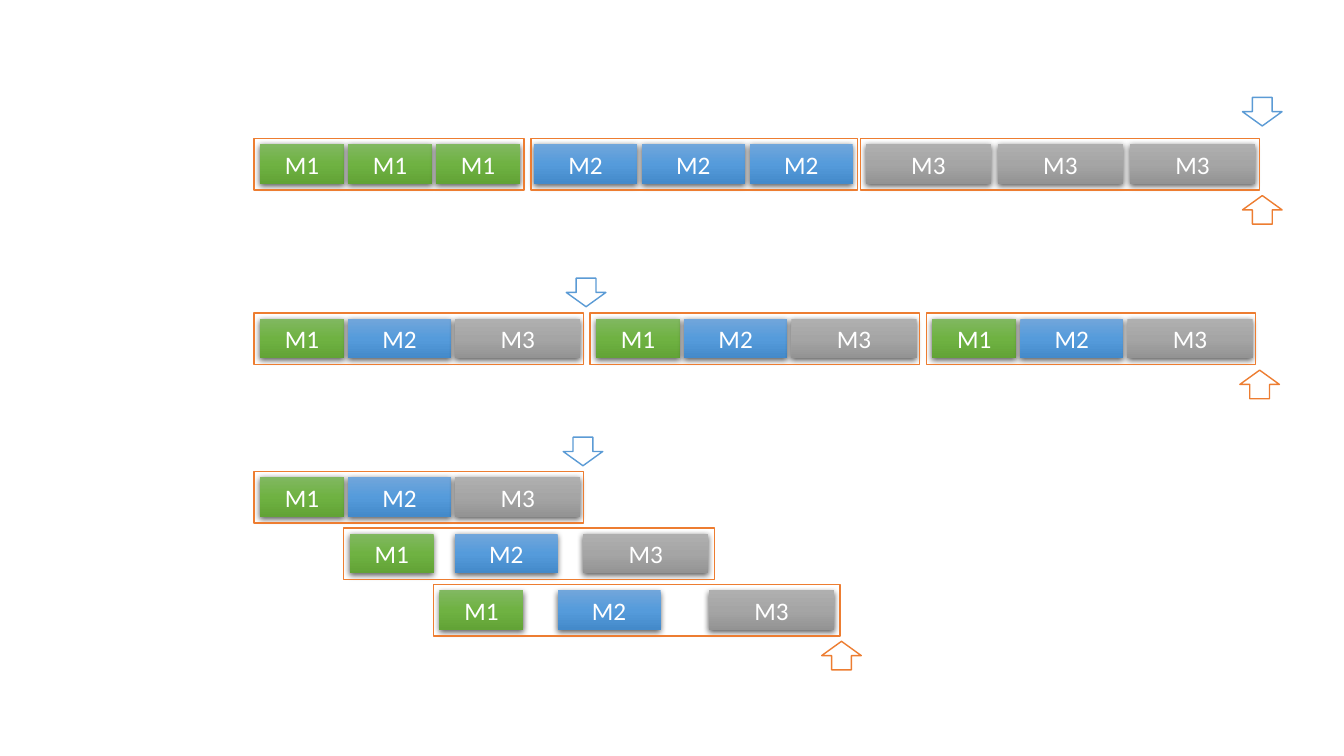
from copy import deepcopy
from dataclasses import dataclass

from lxml.etree import SubElement
from pptx import Presentation
from pptx.dml.color import RGBColor
from pptx.enum.shapes import MSO_SHAPE
from pptx.enum.text import MSO_ANCHOR, PP_ALIGN
from pptx.oxml.ns import qn
from pptx.shapes.autoshape import Shape
from pptx.slide import Slide
from pptx.util import Pt


@dataclass(frozen=True)
class Theme:
    font: str = "Calibri"
    label_size: float = 18
    line_width: float = 1
    text: str = "FFFFFF"
    arrow_fill: str = "FFFFFF"
    shadow: str = "000000"
    first_done: str = "5B9BD5"
    batch: str = "ED7D31"
    green: tuple[str, ...] = ("81B861", "6FB242", "62A336")
    blue: tuple[str, ...] = ("71A6DB", "559BDB", "448ACA")
    gray: tuple[str, ...] = ("AFAFAF", "A5A5A5", "939393")


THEME = Theme()
BLOCK_HEIGHT = 28.3
BATCH_HEIGHT = 36.8
BLOCK_DROP = 4.1
ARROW_WIDTH = 28.3
ARROW_HEIGHT = 20.4


@dataclass(frozen=True)
class Stage:
    label: str
    width: float
    gradient: tuple[str, ...]


@dataclass(frozen=True)
class Batch:
    left: float
    top: float
    width: float
    stages: tuple[Stage, ...]
    gaps: tuple[float, ...] = (2.9, 2.9)
    inset: float = 4.3


@dataclass(frozen=True)
class Arrow:
    left: float
    top: float
    color: str
    rotation: float = 0


M1 = Stage("M1", 60, THEME.green)
M2 = Stage("M2", 73.6, THEME.blue)
M3 = Stage("M3", 89.5, THEME.gray)
SEQUENCE = (M1, M2, M3)

START = 181.4
SEQUENCE_WIDTH = 235.3

BY_STAGE = (
    Batch(START, 98.9, 193, (M1,) * 3),
    Batch(379.2, 98.9, 233.2, (M2,) * 3, (3.4, 3.4), 2.3),
    Batch(614.8, 98.9, 285.1, (M3,) * 3, (4.8, 4.8), 3.6),
)
BY_PRODUCT = tuple(
    Batch(START + index * 240.1, 223.7, SEQUENCE_WIDTH, SEQUENCE) for index in range(3)
)
OVERLAPPED = tuple(
    Batch(START + index * 64.1, 336.8 + index * 40.4, width, SEQUENCE, gaps)
    for index, (width, gaps) in enumerate((
        (SEQUENCE_WIDTH, (2.9, 2.9)),
        (265, (15, 18.2)),
        (290.3, (24.4, 34.4)),
    ))
)

ARROWS = (
    Arrow(887.5, 69.6, THEME.first_done),
    Arrow(404.5, 198.7, THEME.first_done),
    Arrow(402.3, 312.3, THEME.first_done),
    Arrow(887.5, 139.7, THEME.batch, 180),
    Arrow(885.6, 264.4, THEME.batch, 180),
    Arrow(586.9, 458.1, THEME.batch, 180),
)


def add_plain_shape(page: Slide, kind: MSO_SHAPE, left: float, top: float,
                    width: float, height: float) -> Shape:
    shape = page.shapes.add_shape(kind, Pt(left), Pt(top), Pt(width), Pt(height))
    shape.shadow.inherit = False
    return shape


def set_outline(shape: Shape, color: str) -> None:
    shape.line.color.rgb = RGBColor.from_string(color)
    shape.line.width = Pt(THEME.line_width)


def set_gradient(shape: Shape, colors: tuple[str, ...]) -> None:
    shape.fill.gradient()
    shape.fill.gradient_angle = 270
    stops = shape.element.spPr.find(qn("a:gradFill")).find(qn("a:gsLst"))
    stops.append(deepcopy(stops[-1]))
    for index, stop in enumerate(shape.fill.gradient_stops):
        stop.position = index / (len(colors) - 1)
        stop.color.rgb = RGBColor.from_string(colors[index])


def set_shadow(shape: Shape) -> None:
    effects = shape.element.spPr.find(qn("a:effectLst"))
    shadow = SubElement(effects, qn("a:outerShdw"), blurRad=str(Pt(4.5)),
                        dist=str(Pt(1.5)), dir="5400000", algn="ctr", rotWithShape="0")
    color = SubElement(shadow, qn("a:srgbClr"), val=THEME.shadow)
    SubElement(color, qn("a:alpha"), val="63000")


def add_block(page: Slide, stage: Stage, left: float, top: float) -> None:
    block = add_plain_shape(page, MSO_SHAPE.RECTANGLE, left, top, stage.width, BLOCK_HEIGHT)
    set_gradient(block, stage.gradient)
    block.line.fill.background()
    set_shadow(block)
    block.text_frame.text = stage.label
    block.text_frame.vertical_anchor = MSO_ANCHOR.MIDDLE
    para = block.text_frame.paragraphs[0]
    para.alignment = PP_ALIGN.CENTER
    font = para.runs[0].font
    font.name = THEME.font
    font.size = Pt(THEME.label_size)
    font.color.rgb = RGBColor.from_string(THEME.text)


def add_batch(page: Slide, batch: Batch) -> None:
    left = batch.left + batch.inset
    for stage, gap in zip(batch.stages, (*batch.gaps, 0)):
        add_block(page, stage, left, batch.top + BLOCK_DROP)
        left += stage.width + gap
    frame = add_plain_shape(page, MSO_SHAPE.RECTANGLE, batch.left, batch.top,
                            batch.width, BATCH_HEIGHT)
    frame.fill.background()
    set_outline(frame, THEME.batch)


def add_arrow(page: Slide, arrow: Arrow) -> None:
    shape = add_plain_shape(page, MSO_SHAPE.DOWN_ARROW, arrow.left, arrow.top,
                            ARROW_WIDTH, ARROW_HEIGHT)
    shape.rotation = arrow.rotation
    shape.fill.solid()
    shape.fill.fore_color.rgb = RGBColor.from_string(THEME.arrow_fill)
    set_outline(shape, arrow.color)


def main() -> None:
    deck = Presentation()
    deck.slide_width, deck.slide_height = Pt(960), Pt(540)
    page = deck.slides.add_slide(deck.slide_layouts[6])
    for batch in BY_STAGE + BY_PRODUCT + OVERLAPPED:
        add_batch(page, batch)
    for arrow in ARROWS:
        add_arrow(page, arrow)
    deck.save("out.pptx")


if __name__ == "__main__":
    main()
